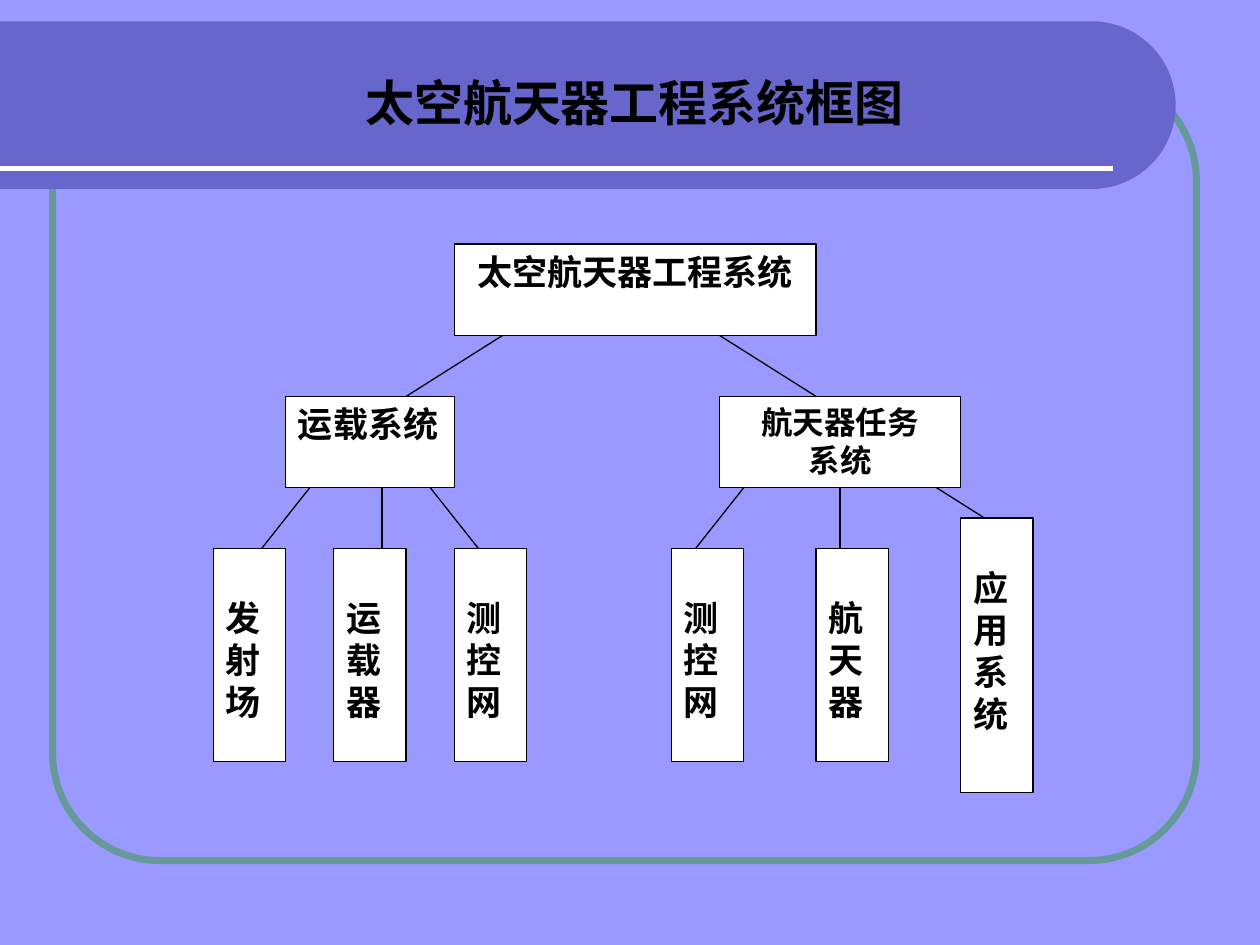
from dataclasses import dataclass

from lxml import etree
from pptx import Presentation
from pptx import util as u
from pptx.dml.color import RGBColor
from pptx.enum import shapes, text
from pptx.oxml.ns import qn


@dataclass(frozen=True)
class Theme:
    back: RGBColor = RGBColor(0x99, 0x99, 0xFF)
    band: RGBColor = RGBColor(0x66, 0x66, 0xCC)
    frame: RGBColor = RGBColor(0x66, 0x99, 0x99)
    white: RGBColor = RGBColor(0xFF, 0xFF, 0xFF)
    ink: RGBColor = RGBColor(0, 0, 0)
    title_font: str = "Arial"
    box_font: str = "Times New Roman"
    title_size: int = 28
    box_size: int = 20
    small_size: int = 18


theme = Theme()
Cm, Pt = u.Cm, u.Pt
MSO = shapes.MSO_SHAPE

# Chart grid: five columns take 2.43 cm, five rows take 3.07 cm
LEFT, TOP, COL, ROW = 4.3, 4.92, 2.43 / 5, 3.07 / 5


def add_run(p, words, font, size):
    r = p.add_run()
    r.text = words
    r.font.name, r.font.size, r.font.bold = font, Pt(size), True
    r.font.color.rgb = theme.ink


def add_line(x1, y1, x2, y2, color, width):
    line = s.shapes.add_connector(shapes.MSO_CONNECTOR.STRAIGHT,
                                  Cm(x1), Cm(y1), Cm(x2), Cm(y2))
    line.line.color.rgb = color
    line.line.width = Pt(width)
    etree.SubElement(line.element.spPr, qn("a:effectLst"))
    return line


prs = Presentation()
prs.slide_width, prs.slide_height = Cm(25.4), Cm(19.05)
s = prs.slides.add_slide(prs.slide_layouts[5])
s.background.fill.solid()
s.background.fill.fore_color.rgb = theme.back

# Rounded frame
sp = s.shapes.add_shape(MSO.ROUNDED_RECTANGLE, Cm(1.06), Cm(1.48), Cm(23.06), Cm(15.87))
sp.adjustments[0] = 0.137
sp.shadow.inherit = False
sp.fill.background()
sp.line.color.rgb = theme.frame
sp.line.width = Pt(4)

# Title band, turned so that its round end faces right
band_x, band_y, band_w, band_h = 0, 0.43, 23.7, 3.38
sp = s.shapes.add_shape(MSO.ROUND_2_SAME_RECTANGLE,
                        Cm(band_x + (band_w - band_h) / 2),
                        Cm(band_y - (band_w - band_h) / 2), Cm(band_h), Cm(band_w))
sp.rotation = 90
sp.adjustments[0] = 0.5
sp.shadow.inherit = False
sp.fill.solid()
sp.fill.fore_color.rgb = theme.band
sp.line.fill.background()
add_line(0, 3.39, 22.43, 3.39, theme.white, 3)

# Boxes: lines, column, row, columns wide, rows high, type size, alignment, top inset
center, justify = text.PP_ALIGN.CENTER, text.PP_ALIGN.JUSTIFY
boxes = [
    (["太空航天器工程系统"], 10, 0, 15, 3, theme.box_size, center, 0.13),
    (["运载系统"], 3, 5, 7, 3, theme.box_size, justify, 0.13),
    (["航天器任务", "系统"], 21, 5, 10, 3, theme.small_size, center, 0.13),
]
leaves = [("发射场", 0), ("运载器", 5), ("测控网", 10), ("测控网", 19), ("航天器", 25)]
boxes += [([name], col, 10, 3, 7, theme.box_size, justify, 0.97) for name, col in leaves]
boxes.append((["应用系统"], 31, 9, 3, 9, theme.box_size, justify, 0.97))

drawn = []
for lines, col, row, wide, high, size, align, inset in boxes:
    sp = s.shapes.add_shape(MSO.RECTANGLE, Cm(LEFT + col * COL), Cm(TOP + row * ROW),
                            Cm(wide * COL), Cm(high * ROW))
    sp.shadow.inherit = False
    sp.fill.solid()
    sp.fill.fore_color.rgb = theme.white
    sp.line.color.rgb = theme.ink
    sp.line.width = Pt(0.75)
    tf = sp.text_frame
    tf.word_wrap = True
    tf.vertical_anchor = text.MSO_ANCHOR.TOP
    tf.margin_top = Cm(inset)
    for i, words in enumerate(lines):
        p = tf.add_paragraph() if i else tf.paragraphs[0]
        p.alignment = align
        add_run(p, words, theme.box_font, size)
    drawn.append(sp)
mission = drawn[2]

# Branches: column and row of each end
branches = [
    (12, 3, 8, 5), (21, 3, 25, 5),
    (4, 8, 2, 10), (7, 8, 7, 10), (9, 8, 11, 10),
    (22, 8, 20, 10), (26, 8, 26, 10), (30, 8, 32, 9),
]
for c1, r1, c2, r2 in branches:
    line = add_line(LEFT + c1 * COL, TOP + r1 * ROW, LEFT + c2 * COL, TOP + r2 * ROW,
                    theme.ink, 0.75)
    if (c1, r1) == (26, 8):
        line.begin_connect(mission, 2)

# Title, brought in front of the band
title = s.shapes.title
title.left, title.top, title.width, title.height = Cm(7.11), Cm(1.32), Cm(11.61), Cm(1.45)
tf = title.text_frame
tf.word_wrap = True
tf.vertical_anchor = text.MSO_ANCHOR.MIDDLE
p = tf.paragraphs[0]
p.alignment = text.PP_ALIGN.LEFT
add_run(p, "太空航天器工程系统框图", theme.title_font, theme.title_size)
title.element.getparent().append(title.element)

prs.save("out.pptx")
